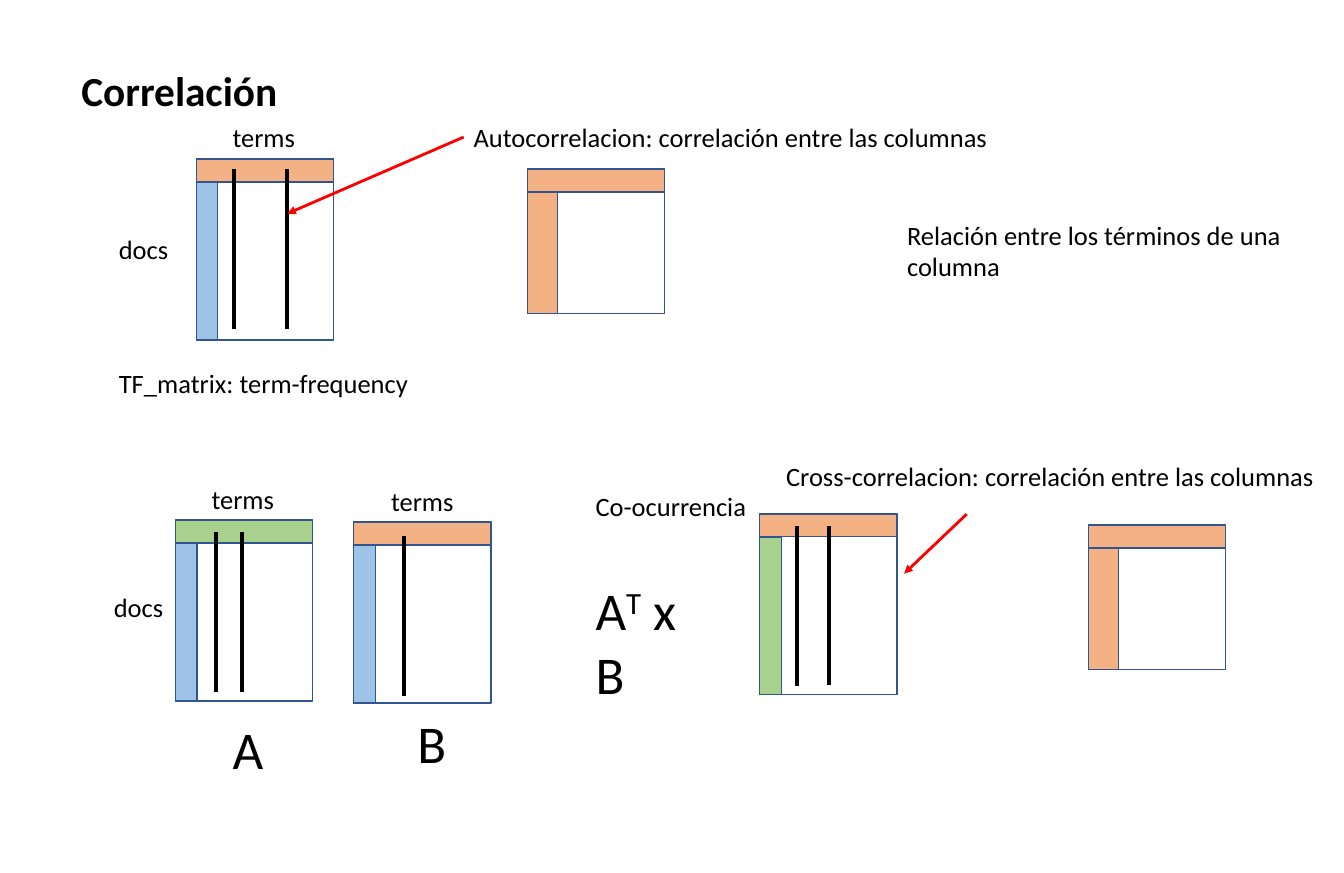
from dataclasses import dataclass

from lxml import etree
from pptx import Presentation
from pptx.dml.color import RGBColor
from pptx.enum.shapes import MSO_CONNECTOR, MSO_SHAPE
from pptx.enum.text import MSO_AUTO_SIZE
from pptx.oxml.ns import qn
from pptx.util import Pt

RECTANGLE = MSO_SHAPE.RECTANGLE
STRAIGHT = MSO_CONNECTOR.STRAIGHT
FIT_SHAPE = MSO_AUTO_SIZE.SHAPE_TO_FIT_TEXT


@dataclass(frozen=True)
class Theme:
    font: str = "Calibri"
    title_size: float = 29.5
    body_size: float = 18.9
    symbol_size: float = 37.9
    text: str = "000000"
    paper: str = "FFFFFF"
    border: str = "325491"
    orange: str = "F4B183"
    green: str = "A9D18E"
    blue: str = "9DC3E6"
    arrow: str = "FF0000"


THEME = Theme()
MATRIX_WIDTH = 98
HEADER_HEIGHT = 16.4
TALL_HEIGHT, TALL_SIDE = 129.2, 15.4
SQUARE_HEIGHT, SQUARE_SIDE = 103, 21.6
COLUMN_LENGTH = 114


def add_run(paragraph, text, size, bold=False, superscript=False):
    run = paragraph.add_run()
    run.text = text
    run.font.name = THEME.font
    run.font.size = Pt(size)
    run.font.bold = bold
    run.font.color.rgb = RGBColor.from_string(THEME.text)
    if superscript:
        run.font._element.set("baseline", "30000")


class Canvas:
    def __init__(self, slide, theme):
        self.slide = slide
        self.theme = theme

    def rectangle(self, left, top, width, height, fill):
        shape = self.slide.shapes.add_shape(
            RECTANGLE, Pt(left), Pt(top), Pt(width), Pt(height))
        shape.shadow.inherit = False
        shape.fill.solid()
        shape.fill.fore_color.rgb = RGBColor.from_string(fill)
        shape.line.color.rgb = RGBColor.from_string(self.theme.border)
        shape.line.width = Pt(1)

    def matrix(self, left, top, header, side, height=TALL_HEIGHT, side_width=TALL_SIDE):
        """Draw a white matrix with a coloured header row and side column."""
        self.rectangle(left, top, MATRIX_WIDTH, height, self.theme.paper)
        self.rectangle(left, top, MATRIX_WIDTH, HEADER_HEIGHT, header)
        self.rectangle(left, top + HEADER_HEIGHT, side_width, height - HEADER_HEIGHT, side)

    def line(self, start, end, color, width, arrow=False):
        connector = self.slide.shapes.add_connector(
            STRAIGHT, Pt(start[0]), Pt(start[1]), Pt(end[0]), Pt(end[1]))
        connector.line.color.rgb = RGBColor.from_string(color)
        connector.line.width = Pt(width)
        if arrow:
            etree.SubElement(connector.line._get_or_add_ln(), qn("a:tailEnd"), type="triangle")
        etree.SubElement(connector._element.spPr, qn("a:effectLst"))

    def column(self, x, top):
        self.line((x, top), (x, top + COLUMN_LENGTH), self.theme.text, 3)

    def arrow(self, start, end):
        self.line(start, end, self.theme.arrow, 2, arrow=True)

    def label(self, left, top, width, *parts, height=30, size=THEME.body_size,
              bold=False, wrap=False):
        """Add a text box; a part is a text or a (text, run format) pair."""
        box = self.slide.shapes.add_textbox(Pt(left), Pt(top), Pt(width), Pt(height))
        frame = box.text_frame
        frame.word_wrap = wrap
        frame.auto_size = FIT_SHAPE
        for part in parts:
            text, options = (part, {}) if isinstance(part, str) else part
            add_run(frame.paragraphs[0], text, size, bold=bold, **options)


def draw_autocorrelation(canvas):
    theme = canvas.theme
    canvas.label(51, 43.2, 156, "Correlación", height=43, size=theme.title_size, bold=True)
    canvas.label(159, 82.8, 60, "terms")
    canvas.label(77.8, 162.7, 50.4, "docs")
    canvas.label(77.8, 258.5, 223, "TF_matrix: term-frequency")
    canvas.matrix(140.2, 113.6, theme.orange, theme.blue)
    for x in (167, 205.2):
        canvas.column(x, 121)
    canvas.label(331.2, 82.8, 386, "Autocorrelacion: correlación entre las columnas")
    canvas.arrow((331.2, 97.9), (205.2, 152.6))
    canvas.matrix(376.6, 120.8, theme.orange, theme.orange, SQUARE_HEIGHT, SQUARE_SIDE)
    canvas.label(640.8, 152.6, 295, "Relación entre los términos de una columna",
                 height=53, wrap=True)


def draw_cross_correlation(canvas):
    theme = canvas.theme
    canvas.label(144, 341.3, 60, "terms")
    canvas.label(272.2, 342.7, 60, "terms")
    canvas.label(74.2, 418.3, 50.4, "docs")
    canvas.matrix(125.3, 371.4, theme.green, theme.blue)
    canvas.matrix(252.7, 372.8, theme.orange, theme.blue)
    canvas.matrix(542.7, 367, theme.orange, theme.green)
    for x, top in ((154.1, 380), (172.8, 380), (288.7, 383), (569.5, 375.6), (592, 375.4)):
        canvas.column(x, top)
    canvas.label(159, 508.3, 37, "A", height=53, size=theme.symbol_size)
    canvas.label(291, 504, 35, "B", height=53, size=theme.symbol_size)
    canvas.label(418.3, 346.3, 123, "Co-ocurrencia")
    canvas.label(418.3, 409, 94, "A", ("T", {"superscript": True}), " x B",
                 height=99, size=theme.symbol_size, wrap=True)
    canvas.label(554.4, 324.7, 395, "Cross-correlacion: correlación entre las columnas")
    canvas.arrow((690.5, 367.2), (645.8, 409.7))
    canvas.matrix(777.6, 375.1, theme.orange, theme.orange, SQUARE_HEIGHT, SQUARE_SIDE)


def main():
    presentation = Presentation()
    presentation.slide_width = Pt(960)
    presentation.slide_height = Pt(623.5)
    slide = presentation.slides.add_slide(presentation.slide_layouts[6])
    canvas = Canvas(slide, THEME)
    draw_autocorrelation(canvas)
    draw_cross_correlation(canvas)
    presentation.save("out.pptx")


if __name__ == "__main__":
    main()
